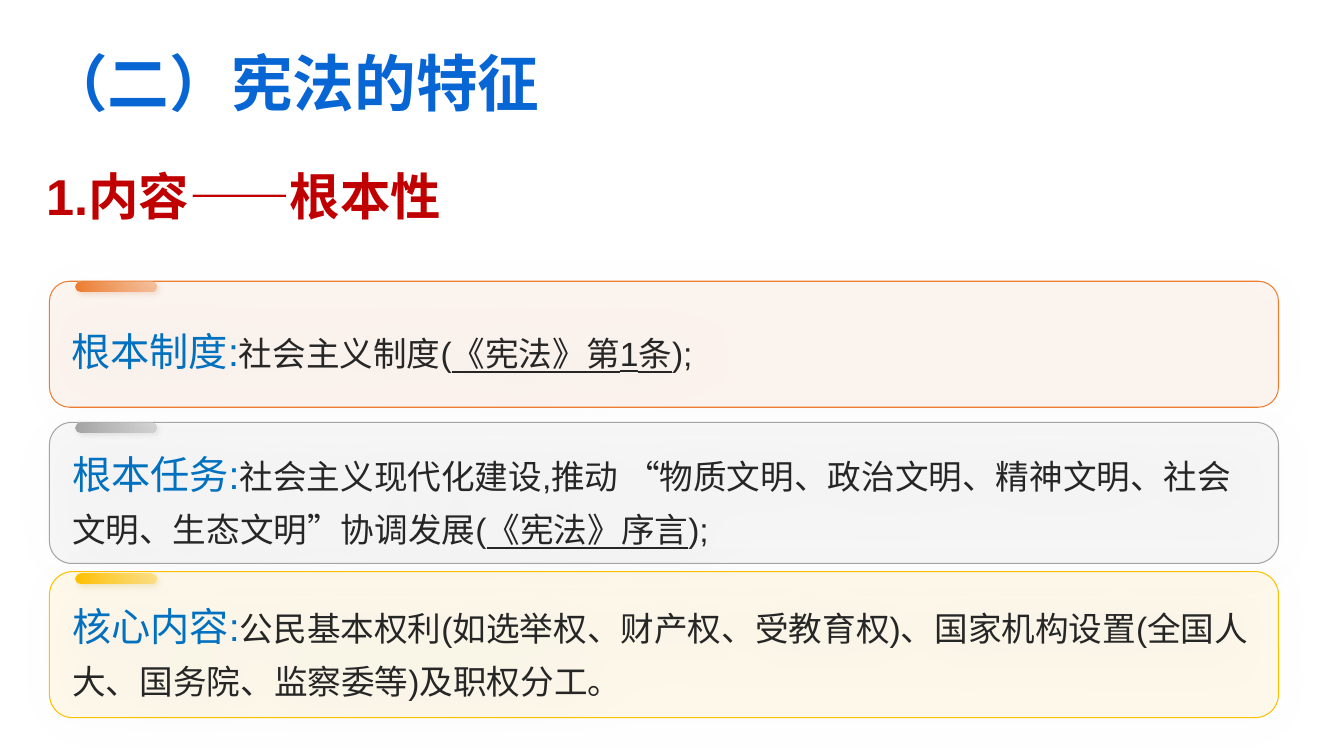
from dataclasses import dataclass

from lxml.etree import SubElement
from pptx import Presentation
from pptx.dml.color import RGBColor
from pptx.enum.shapes import MSO_SHAPE
from pptx.enum.text import MSO_ANCHOR, MSO_AUTO_SIZE, PP_ALIGN
from pptx.oxml.ns import qn
from pptx.util import Inches, Pt


@dataclass(frozen=True)
class Theme:
    font: str = "Arial"
    title: str = "0766D4"
    heading: str = "C00000"
    label: str = "0070C0"
    body: str = "262626"
    shadow: str = "000000"
    title_size: int = 44
    heading_size: int = 36
    label_size: int = 28
    body_size: int = 24


@dataclass(frozen=True)
class Shadow:
    color: str
    alpha: int
    blur: int
    dist: int = 3
    angle: int = 45


@dataclass(frozen=True)
class Card:
    top: float
    height: float
    tab_top: float
    accent: str
    tint: str
    dark: str
    label: str
    text: str
    source: str = ""
    ending: str = ""


THEME = Theme()
CARD_LEFT, CARD_WIDTH = 0.49, 12.19
TAB_LEFT, TAB_WIDTH, TAB_HEIGHT = 0.75, 0.8, 0.1

CARDS = [
    Card(2.79, 1.25, 2.79, "ED7D31", "F4B183", "C55A11",
         "根本制度:", "社会主义制度(", "《宪法》第1条", ");"),
    Card(4.19, 1.4, 4.19, "A5A5A5", "C9C9C9", "7C7C7C",
         "根本任务:",
         "社会主义现代化建设,推动 “物质文明、政治文明、精神文明、社会文明、生态文明”协调发展(",
         "《宪法》序言", ");"),
    Card(5.67, 1.45, 5.69, "FFC000", "FFD966", "BF9000",
         "核心内容:",
         "公民基本权利(如选举权、财产权、受教育权)、国家机构设置(全国人大、国务院、监察委等)及职权分工。"),
]


def rgb(color: str) -> RGBColor:
    return RGBColor.from_string(color)


def set_alpha(clr, percent: int) -> None:
    SubElement(clr, qn("a:alpha")).set("val", str(percent * 1000))


def add_shadow(sp, shadow: Shadow) -> None:
    sp.shadow.inherit = False
    effects = sp._element.spPr.find(qn("a:effectLst"))
    outer = SubElement(effects, qn("a:outerShdw"))
    outer.set("blurRad", str(Pt(shadow.blur)))
    outer.set("dist", str(Pt(shadow.dist)))
    outer.set("dir", str(shadow.angle * 60000))
    outer.set("algn", "tl")
    outer.set("rotWithShape", "0")
    clr = SubElement(outer, qn("a:srgbClr"))
    clr.set("val", shadow.color)
    set_alpha(clr, shadow.alpha)


def add_round_rect(slide, left: float, top: float, width: float,
                   height: float, corner: float, shadow: Shadow):
    sp = slide.shapes.add_shape(MSO_SHAPE.ROUNDED_RECTANGLE, Inches(left),
                                Inches(top), Inches(width), Inches(height))
    sp.adjustments[0] = corner
    add_shadow(sp, shadow)
    return sp


def add_run(p, text: str, size: int, color: str, underline: bool = False) -> None:
    r = p.add_run()
    r.text = text
    r.font.size = Pt(size)
    r.font.color.rgb = rgb(color)
    if underline:
        r.font.underline = True


def write_line(tf, text: str, size: int, color: str, spacing: float) -> None:
    tf.word_wrap = True
    tf.auto_size = MSO_AUTO_SIZE.NONE
    p = tf.paragraphs[0]
    p.text = text
    p.alignment = PP_ALIGN.LEFT
    p.line_spacing = spacing
    p.font.name = THEME.font
    p.font.size = Pt(size)
    p.font.bold = True
    p.font.color.rgb = rgb(color)


def add_card(slide, card: Card) -> None:
    sp = add_round_rect(slide, CARD_LEFT, card.top, CARD_WIDTH, card.height,
                        0.16, Shadow(THEME.shadow, 7, 35))
    sp.fill.solid()
    sp.fill.fore_color.rgb = rgb(card.tint)
    set_alpha(sp._element.spPr.find(qn("a:solidFill"))[0], 12)
    sp.line.color.rgb = rgb(card.accent)
    sp.line.width = Pt(0.75)

    tf = sp.text_frame
    tf.word_wrap = True
    tf.vertical_anchor = MSO_ANCHOR.MIDDLE
    tf.margin_left = tf.margin_right = Inches(0.16)
    tf.margin_top = tf.margin_bottom = 0
    p = tf.paragraphs[0]
    p.alignment = PP_ALIGN.LEFT
    p.line_spacing = 1.3
    p.font.name = THEME.font
    add_run(p, card.label, THEME.label_size, THEME.label)
    add_run(p, card.text, THEME.body_size, THEME.body)
    if card.source:
        add_run(p, card.source, THEME.body_size, THEME.body, underline=True)
        add_run(p, card.ending, THEME.body_size, THEME.body)


def add_tab(slide, card: Card) -> None:
    sp = add_round_rect(slide, TAB_LEFT, card.tab_top, TAB_WIDTH, TAB_HEIGHT,
                        0.5, Shadow(card.dark, 20, 4))
    sp.fill.gradient()
    sp.fill.gradient_angle = 0
    for stop, color in zip(sp.fill.gradient_stops, (card.accent, card.tint)):
        stop.color.rgb = rgb(color)
    set_alpha(sp._element.xpath(".//a:gradFill//a:srgbClr")[-1], 71)
    sp.line.fill.background()


def main() -> None:
    prs = Presentation()
    prs.slide_width, prs.slide_height = Inches(13.33), Inches(7.5)
    slide = prs.slides.add_slide(prs.slide_layouts[5])

    title = slide.shapes.title
    title.left, title.top = Inches(0.36), Inches(0.1)
    title.width, title.height = Inches(12.21), Inches(1.52)
    title.text_frame.vertical_anchor = MSO_ANCHOR.MIDDLE
    write_line(title.text_frame, "（二）宪法的特征", THEME.title_size, THEME.title, 0.9)

    for card in CARDS:
        add_card(slide, card)
        add_tab(slide, card)

    heading = slide.shapes.add_textbox(Inches(0.36), Inches(1.41),
                                       Inches(11.38), Inches(1.02))
    write_line(heading.text_frame, "1.内容——根本性", THEME.heading_size,
               THEME.heading, 1.3)

    prs.save("out.pptx")


if __name__ == "__main__":
    main()
